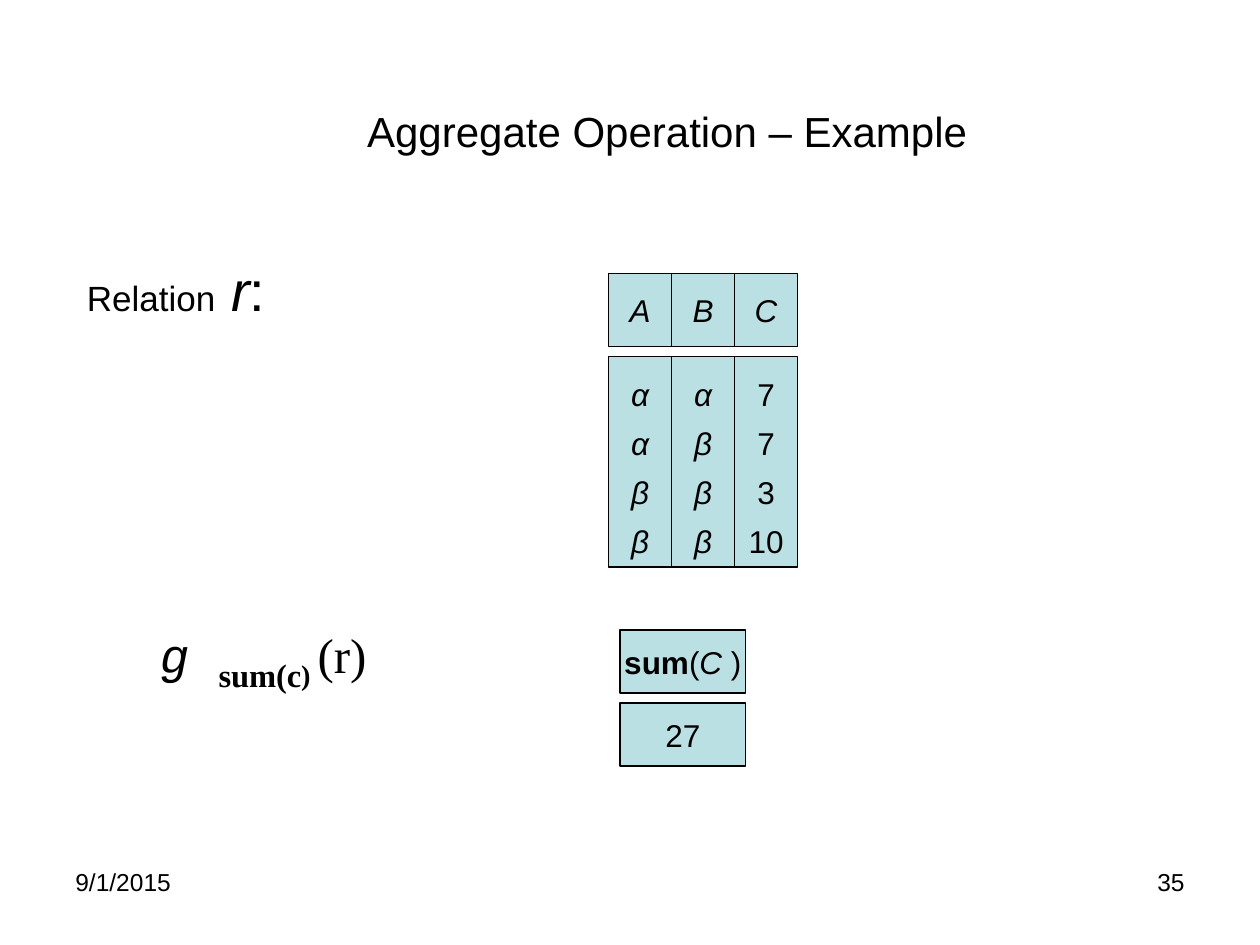
from dataclasses import dataclass

from pptx import Presentation
from pptx import util as u
from pptx.dml.color import RGBColor
from pptx.enum import shapes, text
from pptx.oxml import parse_xml
from pptx.oxml.ns import nsdecls


@dataclass(frozen=True)
class Theme:
    ink: RGBColor = RGBColor(0, 0, 0)
    cell: RGBColor = RGBColor(0xBB, 0xE0, 0xE3)
    sans: str = "Arial"
    serif: str = "Times New Roman"
    mono: str = "Courier New"
    title: int = 24
    label: int = 20
    symbol: int = 32
    formula: int = 28
    table: int = 18
    footer: int = 14


class SlideBuilder:
    def __init__(self, page, theme):
        self.page = page
        self.theme = theme

    def font(self, font, size=None, name=None, bold=None, italic=None):
        font.name = name or self.theme.sans
        font.color.rgb = self.theme.ink
        font.bold, font.italic = bold, italic
        if size:
            font.size = u.Pt(size)

    def add_spans(self, para, spans):
        """Add runs given as (text, style) or (text, style, baseline)."""
        for content, style, *baseline in spans:
            span = para.add_run()
            span.text = content
            self.font(span.font, **style)
            if baseline:
                span.font._element.set("baseline", str(baseline[0]))

    def place(self, box, left, top, width, height):
        box.left, box.top = u.Inches(left), u.Inches(top)
        box.width, box.height = u.Inches(width), u.Inches(height)

    def title(self, content, *bounds):
        box = self.page.shapes.title
        self.place(box, *bounds)
        box.text_frame.text = content
        box.text_frame.vertical_anchor = text.MSO_ANCHOR.MIDDLE
        para = box.text_frame.paragraphs[0]
        para.alignment = text.PP_ALIGN.CENTER
        self.font(para.font, self.theme.title)

    def body(self, spans, *bounds):
        box = self.page.placeholders[1]
        self.place(box, *bounds)
        frame = box.text_frame
        frame.auto_size = text.MSO_AUTO_SIZE.NONE
        frame.margin_top = u.Inches(0.1)
        para = frame.paragraphs[0]
        properties = para._p.get_or_add_pPr()
        properties.set("marL", "0")
        properties.set("indent", "0")
        properties.append(parse_xml(f"<a:buNone {nsdecls('a')}/>"))
        para.space_before = u.Pt(0)
        self.add_spans(para, spans)

    def label(self, spans, *bounds, align=text.PP_ALIGN.LEFT, margin_top=0.05):
        box = self.page.shapes.add_textbox(*map(u.Inches, bounds))
        frame = box.text_frame
        frame.word_wrap = True
        frame.margin_top = u.Inches(margin_top)
        para = frame.paragraphs[0]
        para.alignment = align
        self.add_spans(para, spans)

    def cell(self, group, lines, *bounds, spacing=None):
        """Draw a box whose lines are lists of styled runs."""
        box = group.shapes.add_shape(shapes.MSO_SHAPE.RECTANGLE, *map(u.Inches, bounds))
        box.shadow.inherit = False
        box.fill.solid()
        box.fill.fore_color.rgb = self.theme.cell
        box.line.color.rgb = self.theme.ink
        box.line.width = u.Pt(0.75)
        frame = box.text_frame
        frame.word_wrap = False
        frame.vertical_anchor = text.MSO_ANCHOR.MIDDLE
        for index, spans in enumerate(lines):
            para = frame.add_paragraph() if index else frame.paragraphs[0]
            para.alignment = text.PP_ALIGN.CENTER
            if spacing:
                para.line_spacing = spacing
            self.add_spans(para, spans)

    def relation(self, columns, left, top):
        """Draw header cells above one tall cell per column."""
        group = self.page.shapes.add_group_shape()
        width = 0.5
        plain = {"size": self.theme.table}
        slanted = {**plain, "italic": True}
        for index, (name, values) in enumerate(columns.items()):
            x = left + index * width
            self.cell(group, [[(name, slanted)]], x, top, width, 0.58)
            lines = [[(value, plain if value.isdigit() else slanted)] for value in values]
            self.cell(group, lines, x, top + 0.66, width, 1.67, spacing=1.3)

    def result(self, heading, value, left, top):
        group = self.page.shapes.add_group_shape()
        for row, spans in enumerate((heading, value)):
            self.cell(group, [spans], left, top + row * 0.58, 1, 0.5)


def main():
    deck = Presentation()
    deck.slide_width, deck.slide_height = u.Inches(10), u.Inches(7.5)
    theme = Theme()
    slide = SlideBuilder(deck.slides.add_slide(deck.slide_layouts[1]), theme)

    slide.title("Aggregate Operation – Example", 0.83, 0.25, 8.93, 1.57)
    symbol = {"size": theme.symbol}
    slide.body(
        [("Relation", {"size": theme.label}), (" ", symbol),
         ("r", {**symbol, "italic": True}), (":", symbol)],
        0.59, 1.93, 3.13, 0.68,
    )
    slide.relation({"A": "α α β β".split(), "B": "α β β β".split(),
                    "C": "7 7 3 10".split()}, 4.83, 2.17)

    serif = {"size": theme.formula, "name": theme.serif}
    slide.label(
        [("g ", {"size": theme.formula, "name": theme.mono, "italic": True}),
         ("sum(c", {**serif, "size": theme.symbol, "bold": True}, -25000),
         (") ", {**serif, "bold": True}, -25000),
         ("(r)", serif)],
        1.17, 4.75, 2.63, 0.61, margin_top=0.15,
    )
    plain = {"size": theme.table}
    slide.result(
        [("sum", {**plain, "bold": True}), ("(", plain),
         ("C ", {**plain, "italic": True}), (")", plain)],
        [("27", plain)], 4.92, 5,
    )

    footer = {"size": theme.footer}
    slide.label([("35", footer)], 7.17, 6.83, 2.33, 0.52, align=text.PP_ALIGN.RIGHT)
    slide.label([("9/1/2015", footer)], 0.5, 6.83, 2.33, 0.52)
    deck.save("out.pptx")


if __name__ == "__main__":
    main()
